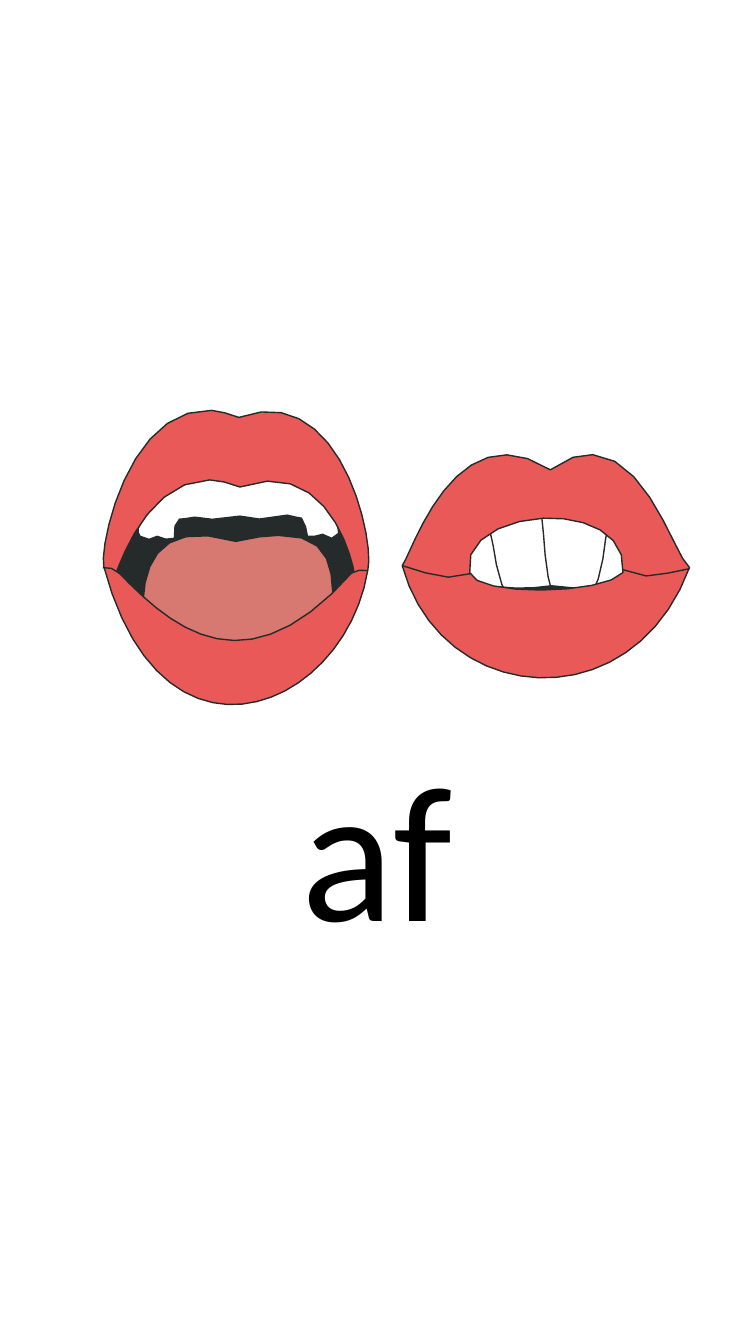
import math

from pptx import Presentation
from pptx.dml.color import RGBColor
from pptx.enum import shapes, text
from pptx.util import Inches, Pt

COLORS = {"ink": "252B2A", "lips": "E95958", "tongue": "D77971",
          "teeth": "FFFFFF", "text": "000000"}
STEP_LENGTH = 0.25  # inches of curve per straight piece

# Outlines in inches from the top left of each mouth: M move, L line, C curve, Z close
OPEN_MOUTH = [
    # Dark inside
    ("ink", "M .06 1.59 C .09 1.55 .46 .24 1.36 .63 C 2.31 .26 2.56 1.52 2.56 1.6 "
            "C 1.45 2.99 .67 2.28 .06 1.59 Z"),
    # Tongue
    ("tongue", "M 1.74 1.24 C 2.2 1.23 2.27 1.5 2.28 1.79 L 2.29 1.91 L 2.21 2 "
               "C 1.5 2.75 .94 2.5 .48 2.04 L .4 1.94 L .4 1.88 "
               "C .42 1.48 .6 1.09 1.32 1.3 C 1.49 1.26 1.63 1.24 1.74 1.24 Z"),
    # Upper teeth
    ("teeth", "M 1.07 .68 C 1.16 .68 1.26 .7 1.37 .74 C 1.87 .57 2.16 .83 2.32 1.11 "
              "L 2.33 1.13 L 2.34 1.22 C 2.32 1.34 2.23 1.23 2.18 1.23 "
              "C 2.13 1.23 2.06 1.28 2.03 1.25 C 2 1.21 2.03 1.1 1.97 1.07 "
              "C 1.9 1.07 1.93 1.05 1.83 1.04 C 1.6 1.12 1.48 1.06 1.36 1.05 "
              "C 1.13 1.11 1.01 1.07 .91 1.06 C .82 1.05 .83 1.1 .76 1.08 "
              "C .69 1.07 .73 1.21 .71 1.27 C .65 1.32 .6 1.25 .54 1.25 "
              "C .48 1.25 .44 1.33 .37 1.25 L .35 1.21 "
              "L .35 1.17 L .38 1.11 C .53 .89 .75 .68 1.07 .68 Z"),
    # Lips around the opening
    ("lips", "M 1.08 0 C 1.16 .01 1.25 .03 1.35 .07 C 2.36 -.31 2.7 1.29 2.63 1.58 "
             "C 2.41 2.96 .59 3.74 .01 1.55 C -.04 1.38 .24 -.04 1.08 0 Z "
             "M 1.06 .69 C .43 .69 .16 1.56 .14 1.59 C .71 2.19 1.44 2.79 2.49 1.59 "
             "C 2.48 1.53 2.25 .44 1.36 .76 C 1.25 .71 1.15 .7 1.06 .69 Z"),
    # Creases at the corners
    (None, "M 2.45 1.62 C 2.53 1.57 2.56 1.59 2.63 1.59"),
    (None, "M .17 1.62 C .1 1.55 .07 1.57 0 1.56"),
]
BITING_MOUTH = [
    # Upper teeth and the gaps between them
    ("teeth", "M .53 .51 L 2.41 .51 C 2.26 .78 2.57 1.44 1.95 1.31 "
              "C 1.79 1.33 1.66 1.33 1.48 1.3 C 1.29 1.33 1.13 1.33 .95 1.31 "
              "C .37 1.51 .67 .78 .53 .51 Z"),
    (None, "M 1.38 .57 C 1.42 .86 1.4 1.12 1.51 1.45"),
    (None, "M .86 .71 C .94 .97 .9 1.2 1.1 1.5"),
    (None, "M 2.05 .65 C 1.99 .91 2.02 1.15 1.85 1.45"),
    # Lips around the opening
    ("lips", "M 1.89 0 C 2.44 .03 2.71 1.02 2.85 1.12 C 2.28 2.66 .38 2.5 0 1.1 "
             "C .09 1 .52 -.46 1.47 .15 C 1.63 .03 1.77 -.01 1.89 0 Z "
             "M 1.4 .63 C 1 .65 .6 .85 .67 1.17 C .73 1.41 2 1.39 2.19 1.17 "
             "C 2.23 .78 1.81 .61 1.4 .63 Z"),
    # Creases at the corners
    (None, "M .68 1.18 C .46 1.27 .23 1.17 0 1.1"),
    (None, "M 2.19 1.14 C 2.44 1.27 2.62 1.16 2.85 1.13"),
]


def rgb(name):
    return RGBColor.from_string(COLORS[name])


def style(sp, fill):
    sp.shadow.inherit = False
    if fill:
        sp.fill.solid()
        sp.fill.fore_color.rgb = rgb(fill)
    else:
        sp.fill.background()
    sp.line.color.rgb = rgb("ink")
    sp.line.width = Pt(1)


def curve_points(p0, p1, p2, p3):
    """Points along a cubic curve, without its start; longer curves get more."""
    length = math.dist(p0, p1) + math.dist(p1, p2) + math.dist(p2, p3)
    steps = max(2, math.ceil(length / STEP_LENGTH))
    for step in range(1, steps + 1):
        t = step / steps
        u = 1 - t
        yield tuple(u**3 * a + 3 * u * u * t * b + 3 * u * t * t * c + t**3 * d
                    for a, b, c, d in zip(p0, p1, p2, p3))


def contours(outline):
    """Split an outline into (points, closed) pairs."""
    for part in outline.split("M")[1:]:
        tokens = part.replace("Z", "").split()
        points = [(float(tokens[0]), float(tokens[1]))]
        i = 2
        while i < len(tokens):
            count = 6 if tokens[i] == "C" else 2
            nums = [float(n) for n in tokens[i + 1:i + 1 + count]]
            ends = list(zip(nums[::2], nums[1::2]))
            points += curve_points(points[-1], *ends) if count == 6 else ends
            i += 1 + count
        yield points, "Z" in part


def add_outline(s, left, top, fill, outline):
    builder = None
    for points, closed in contours(outline):
        emu = [(Inches(left + x), Inches(top + y)) for x, y in points]
        if builder is None:
            builder = s.shapes.build_freeform(*emu[0])
        else:
            builder.move_to(*emu[0])
        builder.add_line_segments(emu[1:], close=closed)
    style(builder.convert_to_shape(), fill)


def add_open_mouth(s, left, top):
    for fill, outline in OPEN_MOUTH:
        add_outline(s, left, top, fill, outline)


def add_biting_mouth(s, left, top):
    # Dark inside
    sp = s.shapes.add_shape(shapes.MSO_SHAPE.OVAL, Inches(left + 0.36),
                            Inches(top + 0.57), Inches(2.04), Inches(1.16))
    style(sp, "ink")
    for fill, outline in BITING_MOUTH:
        add_outline(s, left, top, fill, outline)


def add_syllable(s, left, top, width, height, syllable):
    sp = s.shapes.add_textbox(*map(Inches, (left, top, width, height)))
    tf = sp.text_frame
    tf.word_wrap = True
    p = tf.paragraphs[0]
    p.alignment = text.PP_ALIGN.CENTER
    r = p.add_run()
    r.text = syllable
    r.font.name = "Calibri"
    r.font.size = Pt(138)
    r.font.color.rgb = rgb("text")


def main():
    prs = Presentation()
    prs.slide_width, prs.slide_height = Inches(7.5), Inches(13.33)
    s = prs.slides.add_slide(prs.slide_layouts[6])
    add_syllable(s, 1.96, 7.17, 3.56, 2.42, "af")
    add_biting_mouth(s, 3.99, 4.51)
    add_open_mouth(s, 1.02, 4.07)
    prs.save("out.pptx")


if __name__ == "__main__":
    main()
